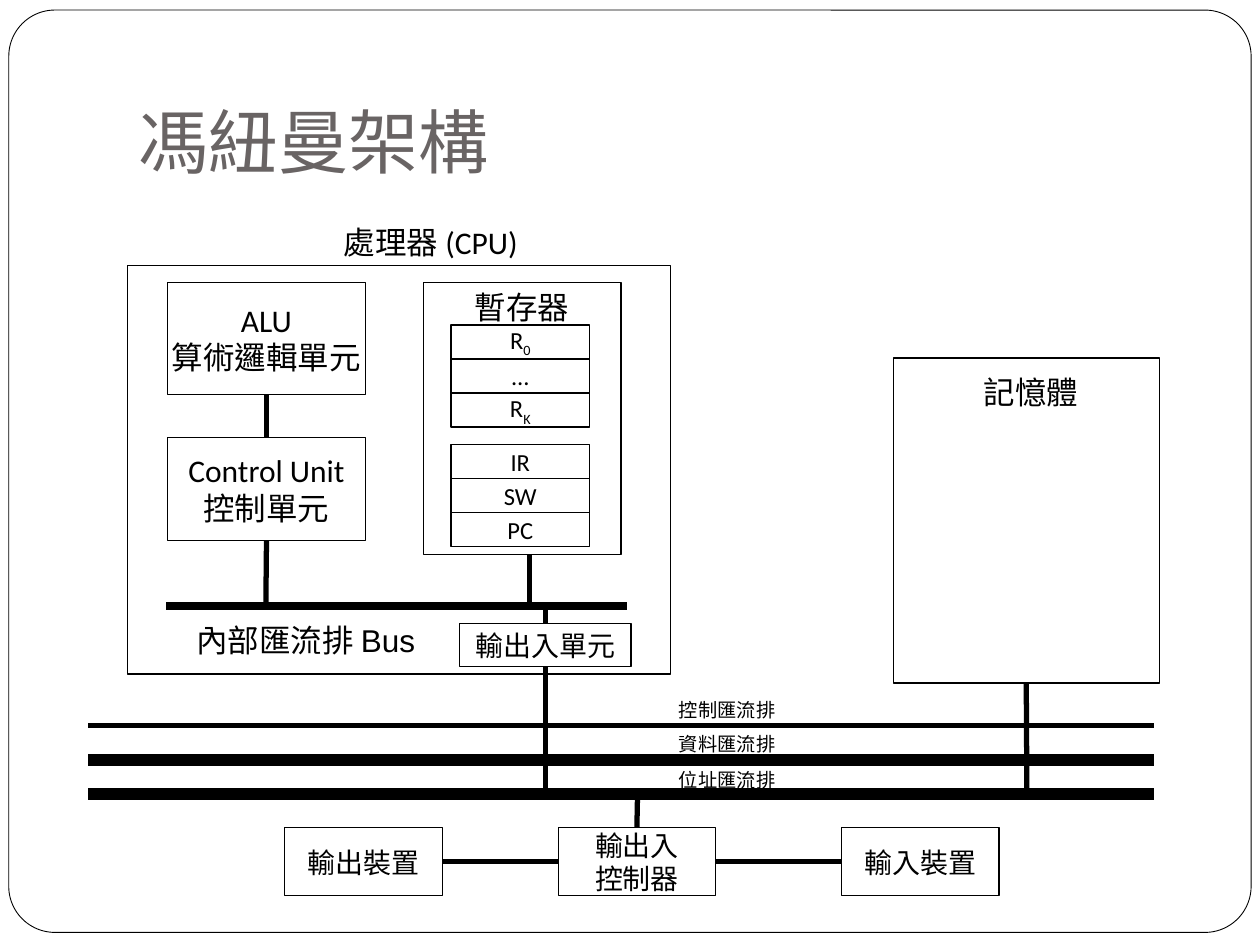
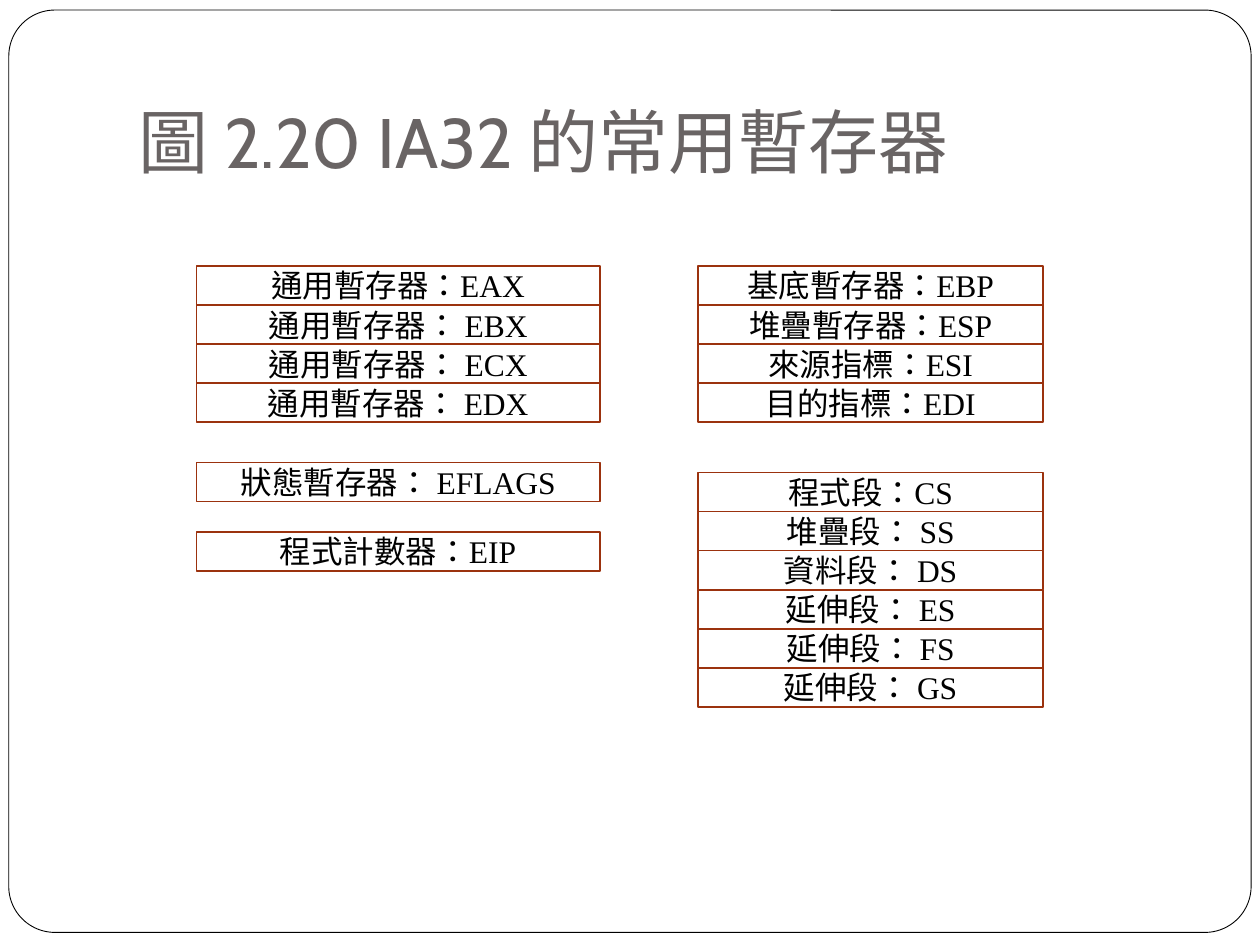
from lxml.etree import SubElement
from pptx import Presentation
from pptx.dml.color import RGBColor
from pptx.enum.shapes import MSO_CONNECTOR, MSO_SHAPE
from pptx.enum.text import MSO_ANCHOR, MSO_AUTO_SIZE, PP_ALIGN
from pptx.oxml.ns import qn
from pptx.util import Inches, Pt

BLACK = RGBColor(0x00, 0x00, 0x00)
WHITE = RGBColor(0xFF, 0xFF, 0xFF)
TITLE_GREY = RGBColor(0x69, 0x64, 0x64)
RUST = RGBColor(0x9B, 0x32, 0x0E)

TOP, LEFT, BOTTOM, RIGHT = range(4)
CELL_HEIGHT = 0.27
ROW_HEIGHT = 0.31


def apply_format(target, values):
    for name, value in values.items():
        setattr(target, name, value)


def write_text(frame, text, size, font="Calibri", color=BLACK, align=PP_ALIGN.CENTER):
    for number, line in enumerate(text.split("\n")):
        para = frame.add_paragraph() if number else frame.paragraphs[0]
        para.alignment = align
        for part, piece in enumerate(line.split("_")):
            span = para.add_run()
            span.text = piece
            apply_format(span.font, {"name": font, "size": Pt(size)})
            span.font.color.rgb = color
            span.font._element.set("lang", "zh-TW")
            if part:
                span.font._element.set("baseline", "-25000")


def add_box(slide, place, text="", size=16, font="Calibri", color=BLACK,
            weight=0.75, anchor=MSO_ANCHOR.MIDDLE, wrap=False):
    box = slide.shapes.add_shape(MSO_SHAPE.RECTANGLE, *map(Inches, place))
    box.shadow.inherit = False
    box.fill.background()
    box.line.color.rgb = color
    box.line.width = Pt(weight)
    apply_format(box.text_frame, {"vertical_anchor": anchor, "word_wrap": wrap})
    if text:
        write_text(box.text_frame, text, size, font)
    return box


def add_label(slide, place, text, size=18, font="Calibri"):
    label = slide.shapes.add_textbox(*map(Inches, place))
    apply_format(label.text_frame, {
        "word_wrap": False,
        "auto_size": MSO_AUTO_SIZE.SHAPE_TO_FIT_TEXT,
    })
    write_text(label.text_frame, text, size, font, align=PP_ALIGN.LEFT)


def add_wire(slide, start, end, weight=3, start_joint=None, end_joint=None):
    wire = slide.shapes.add_connector(MSO_CONNECTOR.STRAIGHT, *map(Inches, start + end))
    wire.line.color.rgb = BLACK
    wire.line.width = Pt(weight)
    SubElement(wire.element.spPr, qn("a:effectLst"))
    if start_joint:
        wire.begin_connect(*start_joint)
    if end_joint:
        wire.end_connect(*end_joint)


def add_stack(slide, left, top, width, height, texts, **style):
    for row, text in enumerate(texts):
        add_box(slide, (left, top + row * height, width, height), text, **style)


def add_page(deck, heading):
    slide = deck.slides.add_slide(deck.slide_layouts[5])
    title = slide.shapes.title
    apply_format(title, {
        "left": Inches(1), "top": Inches(0.3),
        "width": Inches(8.5), "height": Inches(1.25),
    })
    apply_format(title.text_frame, {
        "vertical_anchor": MSO_ANCHOR.BOTTOM,
        "word_wrap": True,
        "auto_size": MSO_AUTO_SIZE.NONE,
        "margin_bottom": Inches(0.1),
    })
    write_text(title.text_frame, heading, 40, "Cabin", TITLE_GREY, PP_ALIGN.LEFT)

    border = slide.shapes.add_shape(
        MSO_SHAPE.ROUNDED_RECTANGLE, *map(Inches, (0.07, 0.08, 9.86, 7.32)))
    border.adjustments[0] = 0.05
    border.shadow.inherit = False
    border.fill.solid()
    border.fill.fore_color.rgb = WHITE
    border.line.color.rgb = BLACK
    border.line.width = Pt(0.5)
    title.element.addprevious(border.element)
    return slide


def draw_processor(slide):
    add_label(slide, (2.63, 1.72, 1.65, 0.4), "處理器 (CPU)")
    add_box(slide, (1.01, 2.11, 4.31, 3.24))
    alu = add_box(slide, (1.33, 2.24, 1.57, 0.89), "ALU\n算術邏輯單元", 18)
    control = add_box(slide, (1.33, 3.47, 1.57, 0.82), "Control Unit\n控制單元", 18)
    add_box(slide, (3.36, 2.24, 1.57, 2.16), "暫存器", 18, anchor=MSO_ANCHOR.TOP)
    for top, names in ((2.58, ("R_0", "…", "R_K")), (3.53, ("IR", "SW", "PC"))):
        add_stack(slide, 3.58, top, 1.1, CELL_HEIGHT, names, size=14)

    add_wire(slide, (1.32, 4.81), (4.98, 4.81), 5)
    add_wire(slide, (2.11, 3.13), (2.11, 3.47),
             start_joint=(alu, BOTTOM), end_joint=(control, TOP))
    add_wire(slide, (2.11, 4.29), (2.11, 4.81), start_joint=(control, BOTTOM))
    add_wire(slide, (4.2, 4.4), (4.2, 4.81))
    add_label(slide, (1.46, 4.88, 2, 0.4), "內部匯流排 Bus", font="Arial")

    port = add_box(slide, (3.65, 4.95, 1.36, 0.34), "輸出入單元")
    add_wire(slide, (4.33, 4.81), (4.33, 4.95), end_joint=(port, TOP))
    add_wire(slide, (4.33, 5.29), (4.33, 6.3), start_joint=(port, BOTTOM))


def draw_memory(slide):
    memory = add_box(slide, (7.09, 2.84, 2.11, 2.58))
    add_label(slide, (7.71, 2.91, 0.95, 0.4), "記憶體")
    add_wire(slide, (8.15, 5.42), (8.15, 6.3), start_joint=(memory, BOTTOM))


def draw_system_buses(slide):
    buses = (
        ("控制匯流排", 5.49, 5.76, 3),
        ("資料匯流排", 5.76, 6.03, 7),
        ("位址匯流排", 6.05, 6.3, 7),
    )
    for name, label_top, height, weight in buses:
        add_wire(slide, (0.7, height), (9.16, height), weight)
        add_label(slide, (5.29, label_top, 1.2, 0.29), name, 11)


def draw_devices(slide):
    output, controller, source = [
        add_box(slide, (left, 6.57, 1.25, 0.54), name)
        for left, name in ((2.26, "輸出裝置"), (4.43, "輸出入\n控制器"), (6.68, "輸入裝置"))
    ]
    add_wire(slide, (5.06, 6.3), (5.06, 6.57), end_joint=(controller, TOP))
    add_wire(slide, (6.68, 6.84), (5.68, 6.84),
             start_joint=(source, LEFT), end_joint=(controller, RIGHT))
    add_wire(slide, (4.43, 6.84), (3.51, 6.84),
             start_joint=(controller, LEFT), end_joint=(output, RIGHT))


def draw_registers(slide):
    left_column, right_column = (1.56, 3.2), (5.54, 2.74)
    groups = (
        (left_column, 2.11,
         ("通用暫存器：EAX", "通用暫存器： EBX", "通用暫存器： ECX", "通用暫存器： EDX")),
        (left_column, 3.67, ("狀態暫存器： EFLAGS",)),
        (left_column, 4.22, ("程式計數器：EIP",)),
        (right_column, 2.11,
         ("基底暫存器：EBP", "堆疊暫存器：ESP", "來源指標：ESI", "目的指標：EDI")),
        (right_column, 3.75,
         ("程式段：CS", "堆疊段： SS", "資料段： DS",
          "延伸段： ES", "延伸段： FS", "延伸段： GS")),
    )
    for (left, width), top, names in groups:
        add_stack(slide, left, top, width, ROW_HEIGHT, names, size=18,
                  font="Times New Roman", color=RUST, weight=1, wrap=True)


def main():
    deck = Presentation()
    deck.slide_width, deck.slide_height = Inches(10), Inches(7.5)

    architecture = add_page(deck, "馮紐曼架構")
    draw_memory(architecture)
    draw_system_buses(architecture)
    draw_devices(architecture)
    draw_processor(architecture)

    draw_registers(add_page(deck, "圖 2.20 IA32 的常用暫存器"))
    deck.save("out.pptx")


if __name__ == "__main__":
    main()
